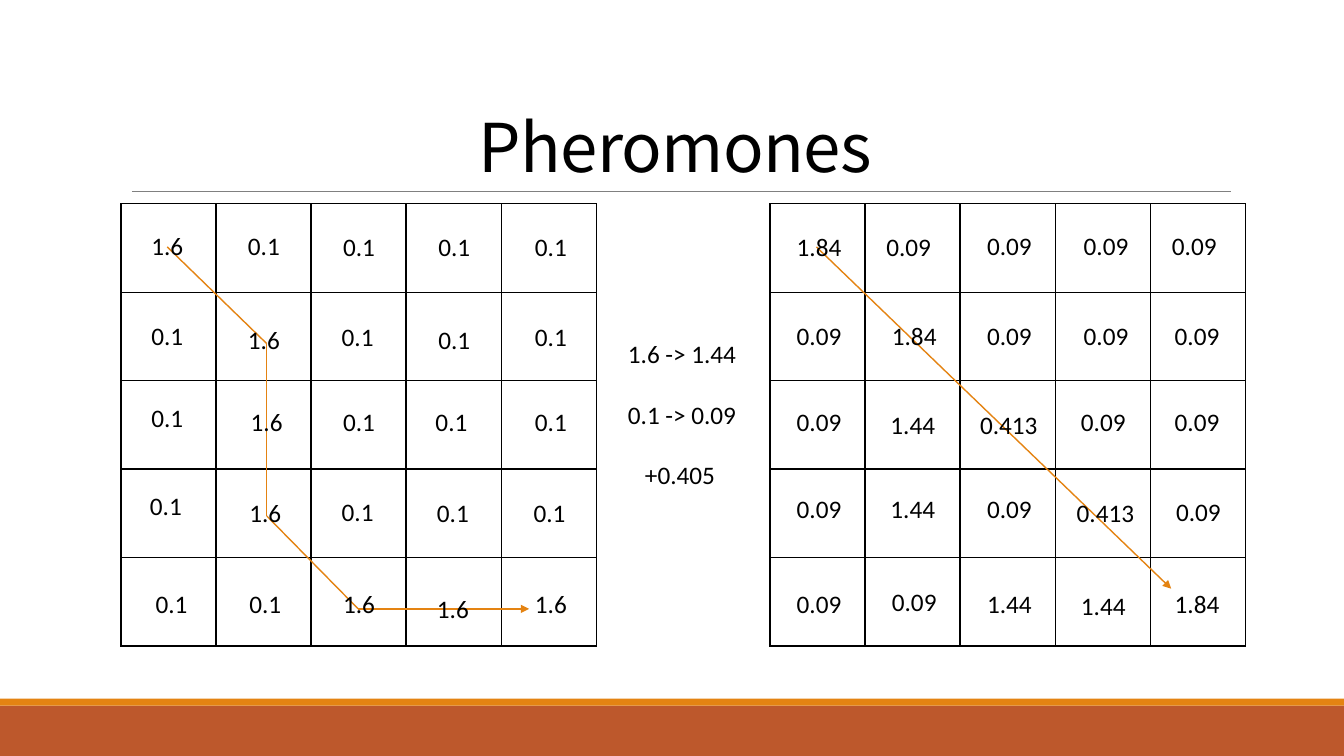
from itertools import pairwise

from lxml.etree import SubElement
from pptx import Presentation
from pptx.dml.color import RGBColor
from pptx.enum.shapes import MSO_CONNECTOR as Connector, MSO_SHAPE as Shape
from pptx.enum.text import MSO_ANCHOR as Anchor, MSO_AUTO_SIZE as AutoSize, PP_ALIGN as Align
from pptx.oxml.ns import qn
from pptx.util import Pt

BLACK, WHITE, GRAY = "000000", "FFFFFF", "808080"
ORANGE, RUST = "E48312", "BD582C"

GRID_SIZE = 5
GRID_TOP, COLUMN_WIDTH, ROW_HEIGHT = 145.5, 67.9, 63.2
VALUE_WIDTHS = {3: 37.4, 4: 47.5, 5: 62.6}  # by number of characters

# Each value with the left and top of its box
BEFORE_VALUES = [
    [("1.6", 101, 161), ("0.1", 170, 161), ("0.1", 238, 162), ("0.1", 306, 162), ("0.1", 375, 162)],
    [("0.1", 101, 225), ("1.6", 170, 228), ("0.1", 237, 226), ("0.1", 306, 228), ("0.1", 375, 226)],
    [("0.1", 101, 284), ("1.6", 172, 287), ("0.1", 238, 287), ("0.1", 304, 287), ("0.1", 375, 287)],
    [("0.1", 100, 347), ("1.6", 171, 352), ("0.1", 237, 351), ("0.1", 305, 352), ("0.1", 374, 352)],
    [("0.1", 104, 417), ("0.1", 171, 417), ("1.6", 238, 417), ("1.6", 305, 420), ("1.6", 375, 417)],
]
AFTER_VALUES = [
    [("1.84", 562, 162), ("0.09", 626, 162), ("0.09", 698, 161), ("0.09", 767, 161), ("0.09", 830, 161)],
    [("0.09", 562, 225), ("1.84", 630, 225), ("0.09", 698, 225), ("0.09", 767, 225), ("0.09", 832, 225)],
    [("0.09", 562, 287), ("1.44", 629, 289), ("0.413", 693, 289), ("0.09", 765, 287), ("0.09", 832, 287)],
    [("0.09", 562, 349), ("1.44", 629, 349), ("0.09", 698, 349), ("0.413", 762, 352), ("0.09", 833, 351)],
    [("0.09", 562, 417), ("0.09", 630, 415), ("1.44", 698, 417), ("1.44", 765, 418), ("1.84", 832, 417)],
]
BEFORE_PATH = [(119.5, 176.4), (190.6, 245.5), (190.6, 368.6), (255.8, 434.9), (378, 434.9)]
AFTER_PATH = [(583.2, 176.4), (836.6, 420.5)]


def color(value):
    return RGBColor.from_string(value)


def apply_format(target, values):
    for name, value in values.items():
        setattr(target, name, value)


def add_band(page, top, height, fill):
    band = page.shapes.add_shape(Shape.RECTANGLE, 0, Pt(top), Pt(960), Pt(height))
    band.shadow.inherit = False
    band.fill.solid()
    band.fill.fore_color.rgb = color(fill)
    band.line.fill.background()


def add_line(page, start, end, stroke, width, arrow=False):
    ends = [Pt(value) for value in (*start, *end)]
    line = page.shapes.add_connector(Connector.STRAIGHT, *ends)
    line.line.color.rgb = color(stroke)
    line.line.width = Pt(width)
    if arrow:
        SubElement(line.line._ln, qn("a:tailEnd"), type="triangle")
    SubElement(line._element.spPr, qn("a:effectLst"))


def add_path(page, points):
    """Join the points with lines, the last one ending in an arrowhead."""
    for start, end in pairwise(points):
        add_line(page, start, end, ORANGE, 1, arrow=end == points[-1])


def add_cell_borders(cell):
    properties = cell._tc.get_or_add_tcPr()
    for side in ("L", "R", "T", "B"):
        border = SubElement(properties, qn(f"a:ln{side}"), w=str(Pt(1)))
        fill = SubElement(border, qn("a:solidFill"))
        SubElement(fill, qn("a:srgbClr"), val=BLACK)


def add_grid(page, left):
    frame = page.shapes.add_table(
        GRID_SIZE, GRID_SIZE, Pt(left), Pt(GRID_TOP),
        Pt(COLUMN_WIDTH * GRID_SIZE), Pt(ROW_HEIGHT * GRID_SIZE))
    table = frame.table
    apply_format(table, {"first_row": False, "horz_banding": False})
    for column in table.columns:
        column.width = Pt(COLUMN_WIDTH)
    for row in table.rows:
        row.height = Pt(ROW_HEIGHT)
    for cell in table.iter_cells():
        add_cell_borders(cell)
        cell.fill.solid()
        cell.fill.fore_color.rgb = color(WHITE)


def add_text(page, lines, place, frame_format, para_format=None, size=18, font="Calibri"):
    box = page.shapes.add_textbox(*[Pt(value) for value in place])
    frame = box.text_frame
    apply_format(frame, frame_format)
    for index, line in enumerate(lines):
        para = frame.add_paragraph() if index else frame.paragraphs[0]
        apply_format(para, para_format or {})
        span = para.add_run()
        span.text = line
        apply_format(span.font, {"size": Pt(size), "name": font})
        span.font.color.rgb = color(BLACK)
    return frame


def add_values(page, rows, wrap):
    frame_format = {"word_wrap": wrap, "auto_size": AutoSize.SHAPE_TO_FIT_TEXT}
    for row in rows:
        for text, left, top in row:
            add_text(page, [text], (left, top, VALUE_WIDTHS[len(text)], 29), frame_format)


def add_title(page, text):
    frame = add_text(
        page, [text], (86.4, 22.3, 792, 114.5),
        {"word_wrap": True, "vertical_anchor": Anchor.BOTTOM},
        {"alignment": Align.CENTER, "line_spacing": 0.85},
        size=48, font="Noto Sans CJK SC")
    span = frame.paragraphs[0].runs[0]
    span.font._element.set("spc", "-50")


def add_update_rules(page):
    frame = add_text(
        page, ["1.6 -> 1.44", "0.1 -> 0.09", "+0.405"], (441.4, 238.3, 92.9, 138.2),
        {"word_wrap": False, "auto_size": AutoSize.SHAPE_TO_FIT_TEXT},
        {"space_after": Pt(21.6)})
    increment = frame.paragraphs[-1]
    increment.space_after = Pt(0)
    increment._p.get_or_add_pPr().set("marL", str(Pt(12.2)))


def main():
    deck = Presentation()
    apply_format(deck, {"slide_width": Pt(960), "slide_height": Pt(540)})
    page = deck.slides.add_slide(deck.slide_layouts[6])
    add_band(page, 504, 36, RUST)
    add_band(page, 499, 5, ORANGE)
    add_line(page, (94.3, 136.8), (879.1, 136.8), GRAY, 0.5)
    add_title(page, "Pheromones")
    add_grid(page, 86.4)
    add_grid(page, 550)
    add_path(page, BEFORE_PATH)
    add_values(page, BEFORE_VALUES, wrap=False)
    add_path(page, AFTER_PATH)
    add_values(page, AFTER_VALUES, wrap=True)
    add_update_rules(page)
    deck.save("out.pptx")


if __name__ == "__main__":
    main()
